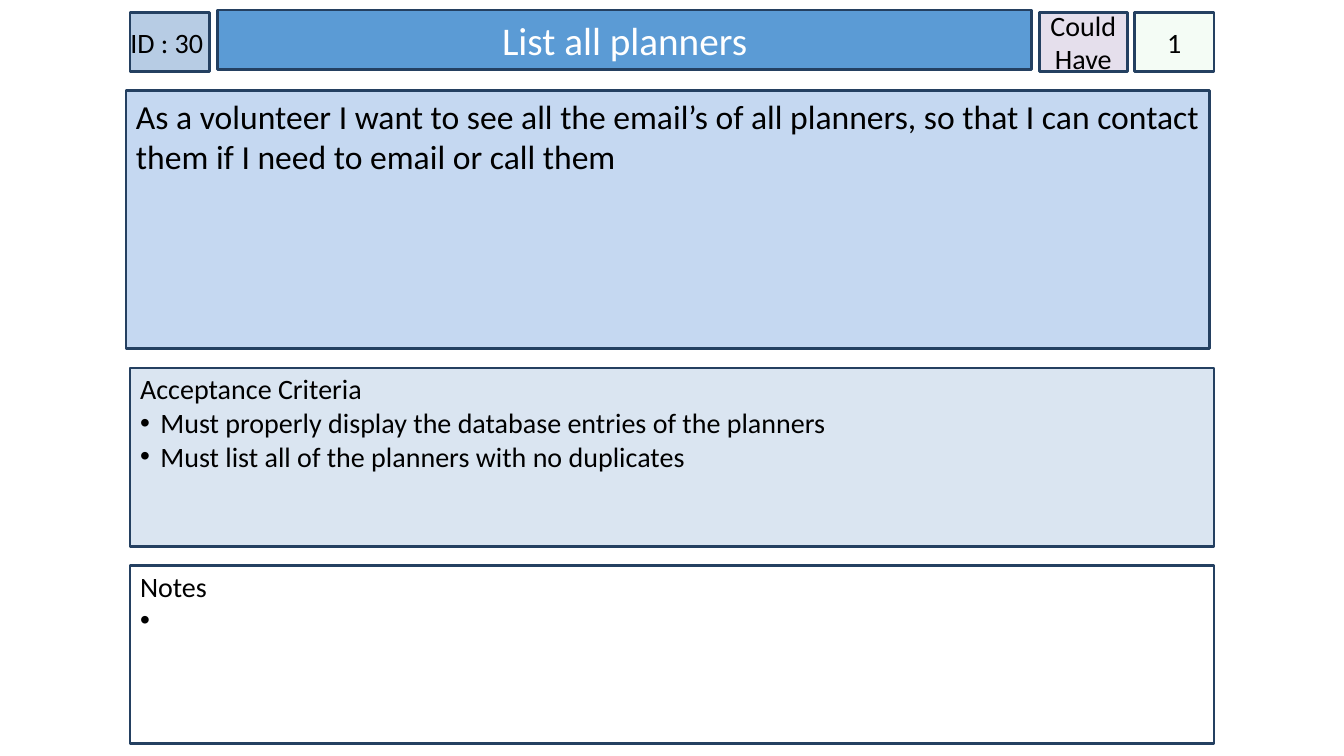
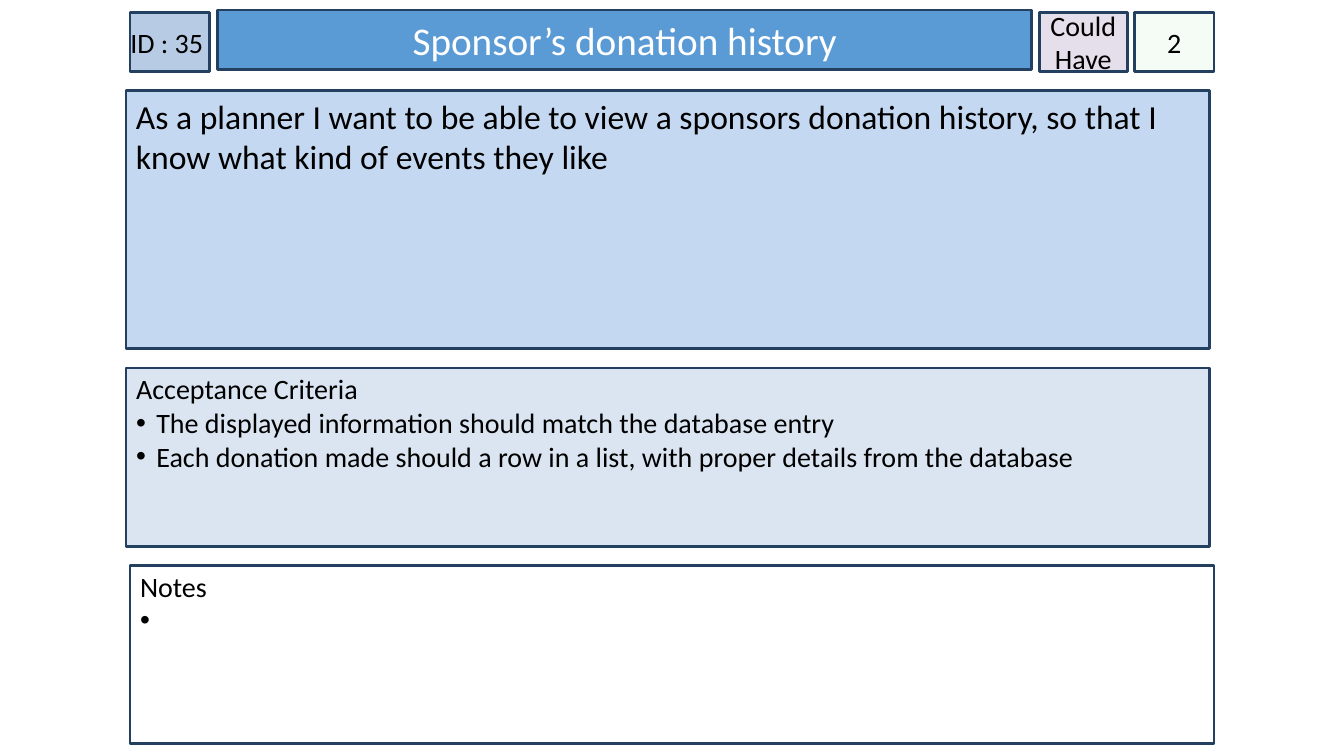
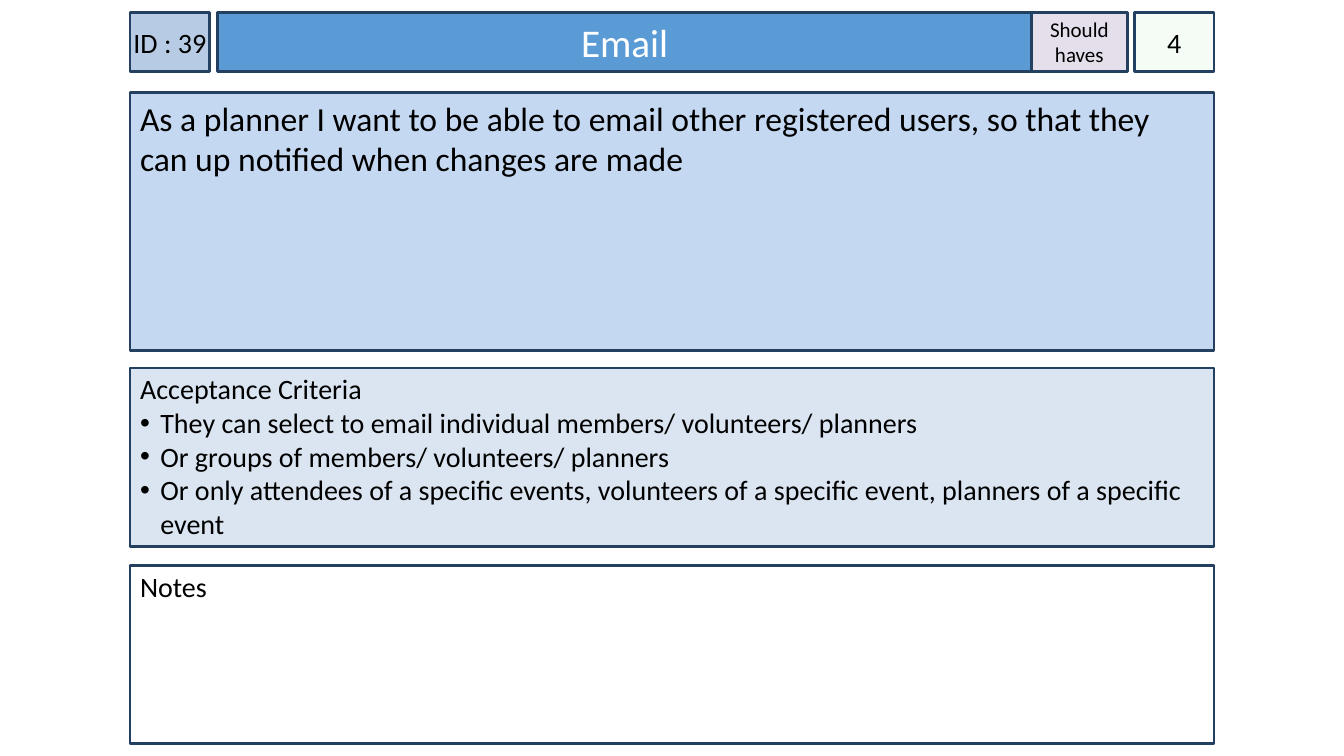
from lxml import etree
from pptx import Presentation
from pptx import util as u
from pptx.dml.color import RGBColor
from pptx.enum import shapes, text
from pptx.oxml.ns import qn

NAVY = RGBColor(0x24, 0x40, 0x61)
BLACK = RGBColor(0, 0, 0)
WHITE = RGBColor(0xFF, 0xFF, 0xFF)
BLUE = RGBColor(0x5B, 0x9B, 0xD5)
STEEL = RGBColor(0xB7, 0xCC, 0xE4)
SKY = RGBColor(0xC5, 0xD8, 0xF1)
PALE = RGBColor(0xDA, 0xE5, 0xF1)
LILAC = RGBColor(0xE5, 0xDF, 0xEC)
MINT = RGBColor(0xCC, 0xF0, 0xCD)

# Grid in inches: columns are (left, width), rows are (top, height)
LEFT, WIDE, TILE, GAP = 1.29, 10.75, 0.79, 0.08
HEAD, TAG = 8.07, 0.87
MAIN = LEFT + TILE + GAP
EDGE = MAIN + HEAD
COLS = {
    "full": (LEFT, WIDE),
    "id": (LEFT, TILE),
    "title": (MAIN, HEAD),
    "tag": (EDGE + GAP, TAG),
    "long tag": (EDGE, TAG + GAP),
    "points": (LEFT + WIDE - TILE, TILE),
}
ROWS = {"top": (0.12, 0.59), "story": (0.92, 2.56),
        "tests": (3.65, 1.77), "notes": (5.61, 1.77)}
SHIFT_X, SHIFT_Y = -0.04, -0.02


class Deck:
    def __init__(self):
        self.prs = Presentation()
        self.prs.slide_width = u.Inches(13.33)
        self.prs.slide_height = u.Inches(7.5)
        self.slide = None

    def start(self):
        self.slide = self.prs.slides.add_slide(self.prs.slide_layouts[1])

    def style(self, box, col, row, fill, dx=0, dy=0):
        """Place a box on the grid and give it the card fill and outline."""
        (left, width), (top, height) = COLS[col], ROWS[row]
        box.left, box.top = u.Inches(left + dx), u.Inches(top + dy)
        box.width, box.height = u.Inches(width), u.Inches(height)
        box.fill.solid()
        box.fill.fore_color.rgb = fill
        box.line.color.rgb = NAVY
        box.line.width = u.Pt(2)
        box.shadow.inherit = False

    def label(self, box, lines, size, color=BLACK, mid=False, side=0.1, top=0.05):
        """Fill a box with lines; every line after the first is a bullet."""
        frame = box.text_frame
        frame.text = "\n".join(lines)
        frame.word_wrap = True
        frame.auto_size = text.MSO_AUTO_SIZE.NONE
        frame.margin_left = frame.margin_right = u.Inches(side)
        frame.margin_top, frame.margin_bottom = u.Inches(top), u.Inches(0.05)
        frame.vertical_anchor = text.MSO_ANCHOR.MIDDLE if mid else text.MSO_ANCHOR.TOP
        for i, para in enumerate(frame.paragraphs):
            self.mark(para, i > 0)
            para.alignment = text.PP_ALIGN.CENTER if mid else text.PP_ALIGN.LEFT
            para.space_before = u.Pt(0)
            for run in para.runs:
                run.font.name = "Calibri"
                run.font.size = u.Pt(size)
                run.font.color.rgb = color

    def mark(self, para, bullet):
        """Turn the bullet and hanging indent of a paragraph on or off."""
        props = para._p.get_or_add_pPr()
        step = u.Inches(0.2) if bullet else 0
        props.set("marL", str(step))
        props.set("indent", str(-step))
        if bullet:
            font = etree.SubElement(props, qn("a:buFont"))
            font.set("typeface", "Arial")
            etree.SubElement(props, qn("a:buChar")).set("char", "•")
        else:
            etree.SubElement(props, qn("a:buNone"))

    def rect(self, col, row, fill, dx=0, dy=0):
        box = self.slide.shapes.add_shape(shapes.MSO_SHAPE.RECTANGLE, 0, 0, 0, 0)
        self.style(box, col, row, fill, dx, dy)
        return box

    def title(self, words, dy):
        box = self.slide.shapes.title
        self.style(box, "title", "top", BLUE, dy=dy)
        self.label(box, [words], 28, WHITE, mid=True)

    def tile(self, col, words, fill, size=20):
        box = self.rect(col, "top", fill)
        self.label(box, [words], size, mid=True, side=0)
        return box

    def points(self, words):
        box = self.tile("points", words, MINT)
        tint = box._element.spPr.find(qn("a:solidFill"))[0]
        etree.SubElement(tint, qn("a:alpha")).set("val", "20000")

    def story(self, words, dx, dy):
        self.label(self.rect("full", "story", SKY, dx, dy), [words], 24)

    def tests(self, items, dx):
        box = self.slide.placeholders[1]
        self.style(box, "full", "tests", PALE, dx)
        self.label(box, ["Acceptance Criteria", *items], 20, top=0.04)

    def notes(self, items):
        box = self.rect("full", "notes", WHITE)
        self.label(box, ["Notes", *items], 20, top=0.04)


CARDS = [
    dict(id="ID : 30 ", title="List all planners", points="1",
         tag=("tag", "Could Have", 20), lift=True, tests_dx=0,
         story="As a volunteer I want to see all the email’s of all planners, "
               "so that I can contact them if I need to email or call them",
         tests=["Must properly display the database entries of the planners",
                "Must list all of the planners with no duplicates"],
         notes=[" "]),
    dict(id="ID : 35 ", title="Sponsor’s donation history", points="2",
         tag=("tag", "Could Have", 20), lift=True, tests_dx=SHIFT_X,
         story="As a planner I want to be able to view a sponsors donation "
               "history, so that I know what kind of events they like",
         tests=["The displayed information should match the database entry",
                "Each donation made should a row in a list, with proper "
                "details from the database"],
         notes=[" "]),
    dict(id="ID : 39", title="Email", points="4",
         tag=("long tag", "Should haves", 15), lift=False, tests_dx=0,
         story="As a planner I want to be able to email other registered "
               "users, so that they can up notified when changes are made",
         tests=["They can select to email individual members/ volunteers/ planners",
                "Or groups of members/ volunteers/ planners",
                "Or only attendees of a specific events, volunteers of a "
                "specific event, planners of a specific event"],
         notes=[]),
]


def main():
    deck = Deck()
    for card in CARDS:
        dx, dy = (SHIFT_X, SHIFT_Y) if card["lift"] else (0, 0)
        col, words, size = card["tag"]
        deck.start()
        deck.title(card["title"], dy)
        deck.tile("id", card["id"], STEEL)
        deck.tile(col, words, LILAC, size)
        deck.points(card["points"])
        deck.story(card["story"], dx, dy)
        deck.tests(card["tests"], card["tests_dx"])
        deck.notes(card["notes"])
    deck.prs.save("out.pptx")


if __name__ == "__main__":
    main()
